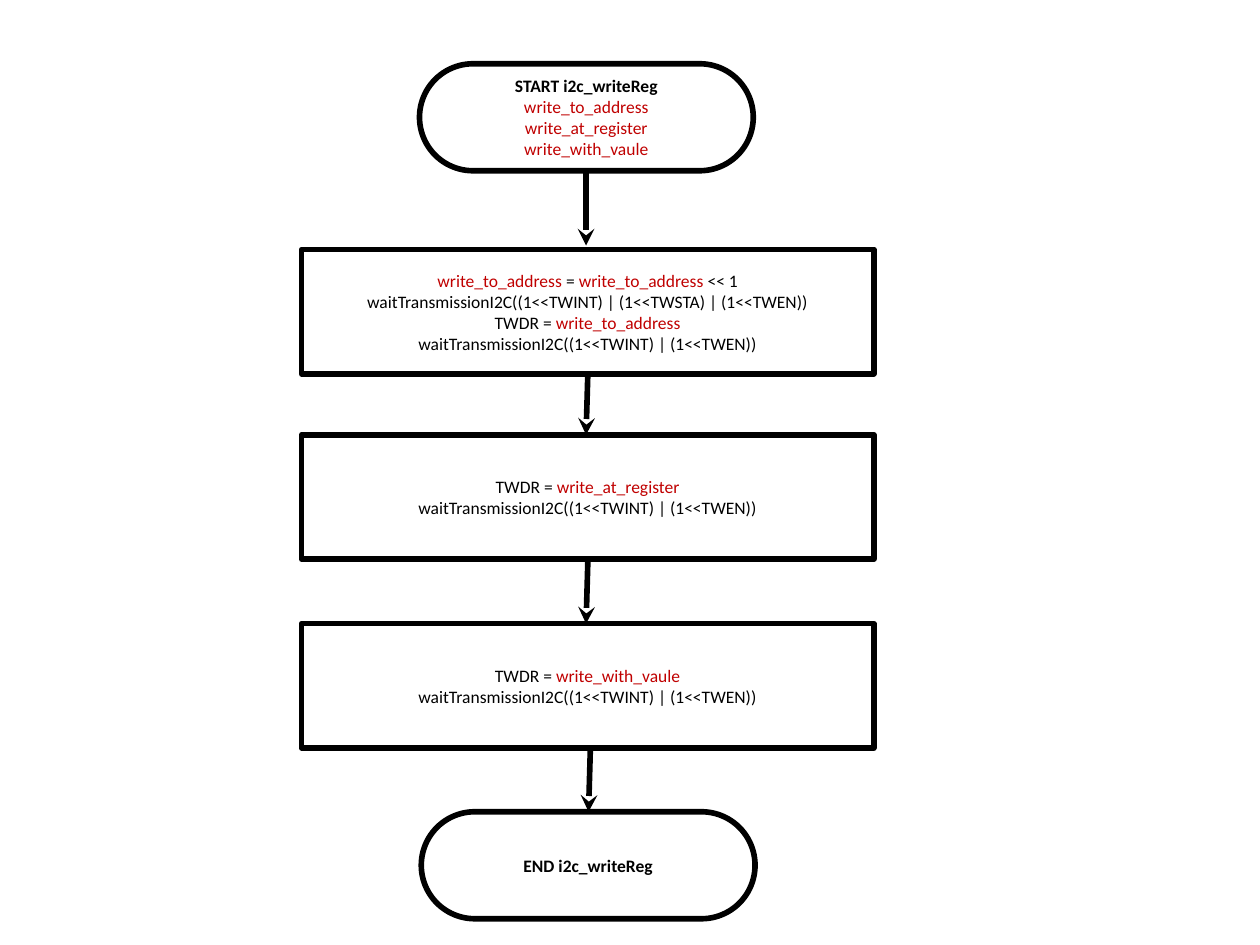
from lxml.etree import SubElement
from pptx import Presentation
from pptx.dml.color import RGBColor
from pptx.enum.shapes import MSO_CONNECTOR, MSO_SHAPE
from pptx.enum.text import MSO_ANCHOR, PP_ALIGN
from pptx.oxml.ns import qn
from pptx.util import Cm, Pt

BLACK = RGBColor(0, 0, 0)
RED = RGBColor(0xC0, 0, 0)


class Flowchart:
    font = "Calibri"
    size = Pt(14)
    weight = Pt(4.5)

    def __init__(self, s):
        self.s = s

    def node(self, kind, x, y, w, h, lines):
        sp = self.s.shapes.add_shape(kind, Cm(x), Cm(y), Cm(w), Cm(h))
        sp.shadow.inherit = False
        sp.fill.background()
        sp.line.color.rgb = BLACK
        sp.line.width = self.weight
        tf = sp.text_frame
        tf.word_wrap = True
        tf.vertical_anchor = MSO_ANCHOR.MIDDLE
        for i, line in enumerate(lines):
            p = tf.add_paragraph() if i else tf.paragraphs[0]
            self.fill_line(p, line)
        return sp

    def fill_line(self, p, line):
        p.alignment = PP_ALIGN.CENTER
        p.font.name = self.font
        p.font.size = self.size
        p.font.bold = line.startswith(("START", "END"))
        for i, text in enumerate(line.split("*")):
            if text:
                r = p.add_run()
                r.text = text
                r.font.color.rgb = RED if i % 2 else BLACK

    def terminal(self, x, y, lines):
        sp = self.node(MSO_SHAPE.ROUNDED_RECTANGLE, x, y, 9.42, 3.02, lines)
        sp.adjustments[0] = 0.5

    def process(self, y, lines):
        self.node(MSO_SHAPE.RECTANGLE, 8.51, y, 16.15, 3.51, lines)

    def arrow(self, x1, y1, x2, y2):
        c = self.s.shapes.add_connector(
            MSO_CONNECTOR.STRAIGHT, Cm(x1), Cm(y1), Cm(x2), Cm(y2))
        c.line.color.rgb = BLACK
        c.line.width = self.weight
        spPr = c._element.spPr
        SubElement(spPr.find(qn("a:ln")), qn("a:tailEnd"), type="stealth")
        SubElement(spPr, qn("a:effectLst"))


prs = Presentation()
prs.slide_width, prs.slide_height = Cm(35.56), Cm(26.67)
chart = Flowchart(prs.slides.add_slide(prs.slide_layouts[6]))

SEND = "waitTransmissionI2C((1<<TWINT) | (1<<TWEN))"

chart.terminal(11.84, 1.8, [
    "START i2c_writeReg",
    "*write_to_address*",
    "*write_at_register*",
    "*write_with_vaule*",
])
chart.process(7.04, [
    "*write_to_address* = *write_to_address* << 1",
    "waitTransmissionI2C((1<<TWINT) | (1<<TWSTA) | (1<<TWEN))",
    "TWDR = *write_to_address*",
    SEND,
])
chart.process(12.27, ["TWDR = *write_at_register*", SEND])
chart.process(17.6, ["TWDR = *write_with_vaule*", SEND])
chart.terminal(11.89, 22.91, ["END i2c_writeReg"])

for ends in [
    (16.54, 4.85, 16.54, 6.93),
    (16.59, 10.54, 16.54, 12.27),
    (16.59, 15.85, 16.54, 17.6),
    (16.66, 21.16, 16.61, 22.91),
]:
    chart.arrow(*ends)

prs.save("out.pptx")
